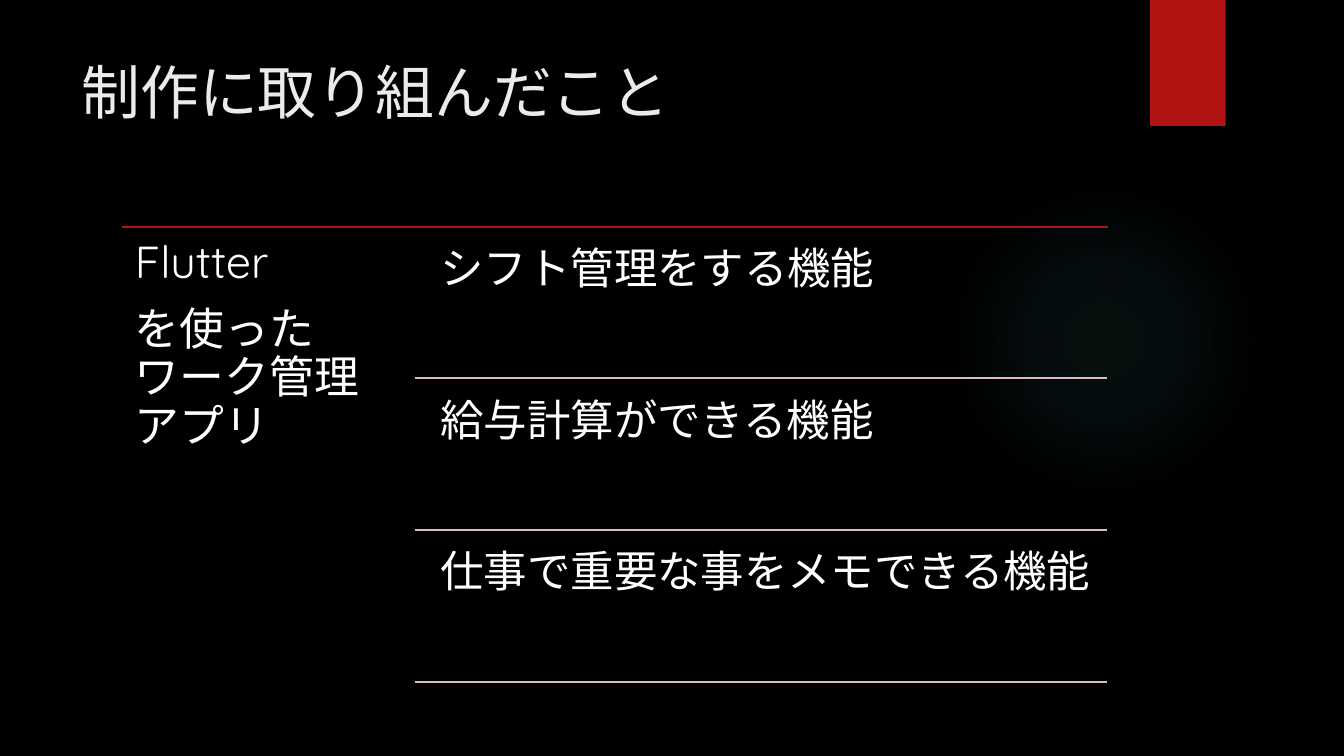
from pptx import Presentation
from pptx.dml.color import RGBColor
from pptx.enum.lang import MSO_LANGUAGE_ID
from pptx.enum.shapes import MSO_CONNECTOR, MSO_SHAPE
from pptx.enum.text import MSO_ANCHOR, MSO_AUTO_SIZE, PP_ALIGN
from pptx.oxml import parse_xml
from pptx.oxml.ns import nsdecls, qn
from pptx.util import Pt

LEFT, TOP = PP_ALIGN.LEFT, MSO_ANCHOR.TOP
NO_AUTOFIT = MSO_AUTO_SIZE.NONE
STRAIGHT = MSO_CONNECTOR.STRAIGHT
RECTANGLE, OVAL = MSO_SHAPE.RECTANGLE, MSO_SHAPE.OVAL
JAPANESE = MSO_LANGUAGE_ID.JAPANESE
TITLE_ONLY_LAYOUT = 5


def color(hex_string):
    return RGBColor.from_string(hex_string)


class SlideBuilder:
    FONT = "Quicksand"
    BACKGROUND, WHITE, TITLE = "000000", "FFFFFF", "EBEBEB"
    RED, PINK, TEAL = "B01513", "DCBDBD", "50B9C1"

    def __init__(self, slide):
        self.slide = slide
        fill = slide.background.fill
        fill.solid()
        fill.fore_color.rgb = color(self.BACKGROUND)

    def shape(self, kind, left, top, width, height):
        shape = self.slide.shapes.add_shape(kind, Pt(left), Pt(top), Pt(width), Pt(height))
        shape.shadow.inherit = False
        shape.line.fill.background()
        return shape

    def bar(self, left, top, width, height):
        fill = self.shape(RECTANGLE, left, top, width, height).fill
        fill.solid()
        fill.fore_color.rgb = color(self.RED)

    def glow(self, left, top, size, stops):
        """stops: (position, opacity) pairs in percent, from the centre out."""
        shape = self.shape(OVAL, left, top, size, size)
        stop_xml = "".join(
            f'<a:gs pos="{position * 1000}"><a:srgbClr val="{self.TEAL}">'
            f'<a:alpha val="{opacity * 1000}"/></a:srgbClr></a:gs>'
            for position, opacity in stops)
        gradient = parse_xml(
            f'<a:gradFill {nsdecls("a")}><a:gsLst>{stop_xml}</a:gsLst><a:path path="circle">'
            '<a:fillToRect l="50000" t="50000" r="50000" b="50000"/></a:path></a:gradFill>')
        shape._element.spPr.find(qn("a:prstGeom")).addnext(gradient)

    def rule(self, left, right, y, hex_string):
        line = self.slide.shapes.add_connector(STRAIGHT, Pt(left), Pt(y), Pt(right), Pt(y))
        line.line.color.rgb = color(hex_string)
        line.line.width = Pt(1.5)
        line._element.spPr.append(parse_xml(f'<a:effectLst {nsdecls("a")}/>'))

    def format_frame(self, frame, size, hex_string):
        frame.word_wrap = True
        frame.auto_size = NO_AUTOFIT
        frame.vertical_anchor = TOP
        for paragraph in frame.paragraphs:
            paragraph.alignment = LEFT
            font = paragraph.font
            font.name, font.size = self.FONT, Pt(size)
            font.color.rgb = color(hex_string)
            font.language_id = JAPANESE

    def title(self, text, left, top, width, height):
        title = self.slide.shapes.title
        title.left, title.top, title.width, title.height = map(Pt, (left, top, width, height))
        title.text_frame.text = text
        self.format_frame(title.text_frame, 42, self.TITLE)

    def text(self, lines, left, top, width, height, size):
        box = self.slide.shapes.add_textbox(Pt(left), Pt(top), Pt(width), Pt(height))
        frame = box.text_frame
        frame.text = "\n".join(lines)
        frame.margin_left = frame.margin_right = Pt(9.4)
        frame.margin_top = frame.margin_bottom = Pt(9.4)
        self.format_frame(frame, size, self.WHITE)
        for paragraph in frame.paragraphs:
            paragraph.line_spacing = 0.9
            paragraph.space_after = Pt(13)


def main():
    presentation = Presentation()
    presentation.slide_width, presentation.slide_height = Pt(960), Pt(540)
    layout = presentation.slide_layouts[TITLE_ONLY_LAYOUT]
    builder = SlideBuilder(presentation.slides.add_slide(layout))

    # Backdrop and title
    builder.glow(677.5, 131.8, 221.8, [(0, 7), (36, 6), (69, 0)])
    builder.bar(821.5, 0, 54, 90)
    builder.title("制作に取り組んだこと", 51, 36, 741, 110)

    # App heading on the left
    list_top = 162
    builder.rule(87, 791.5, list_top, builder.RED)
    builder.text(["Flutter", "を使ったワーク管理アプリ"], 87, list_top, 209.5, 330.5, 32)

    # Features, each closed by a rule
    features = ["シフト管理をする機能", "給与計算ができる機能", "仕事で重要な事をメモできる機能"]
    row_step = 108.3
    for index, feature in enumerate(features):
        row_top = list_top + index * row_step
        builder.text([feature], 305.3, row_top + 5, 485.5, 103, 31)
        builder.rule(296.5, 790.8, row_top + row_step, builder.PINK)

    presentation.save("out.pptx")


if __name__ == "__main__":
    main()
